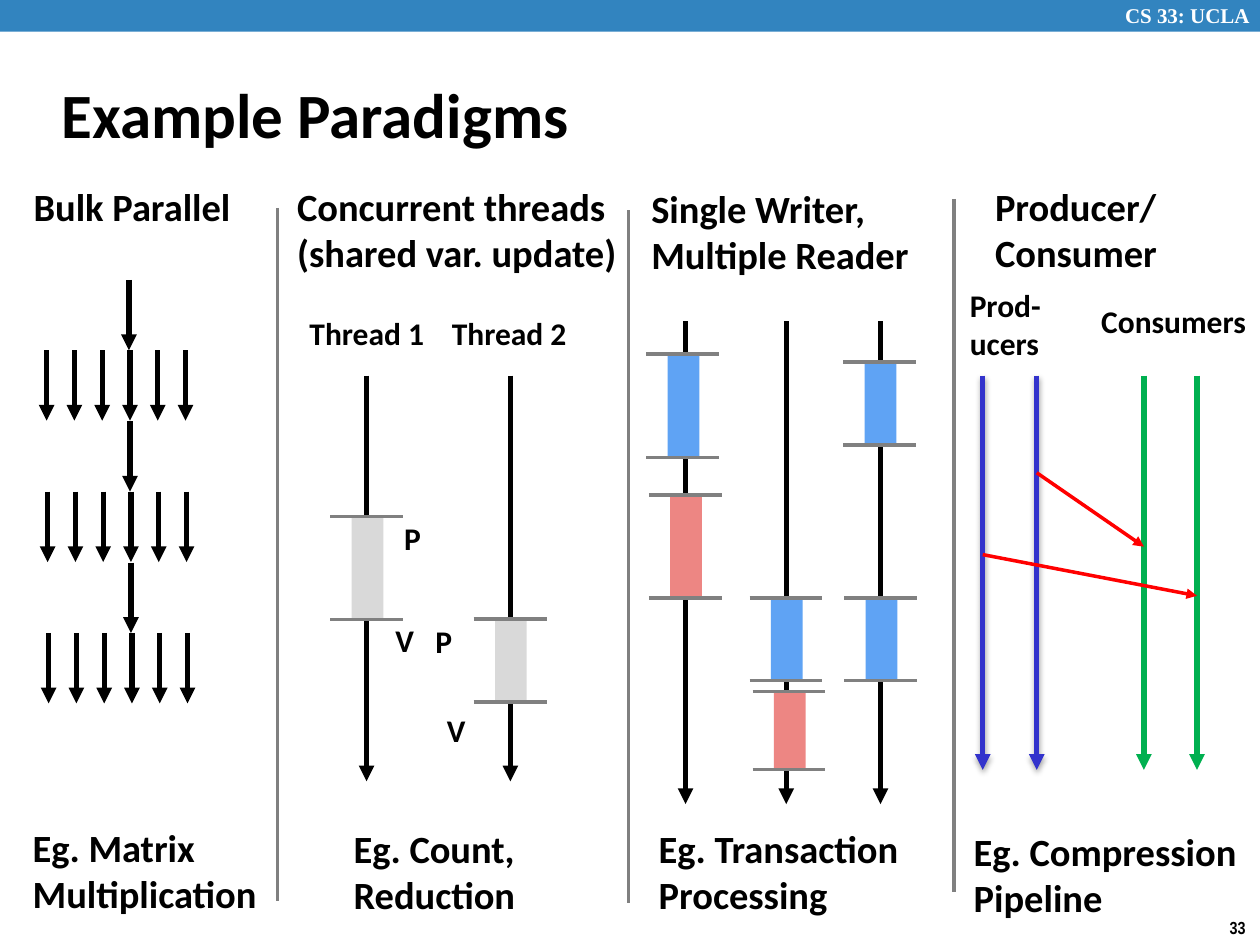
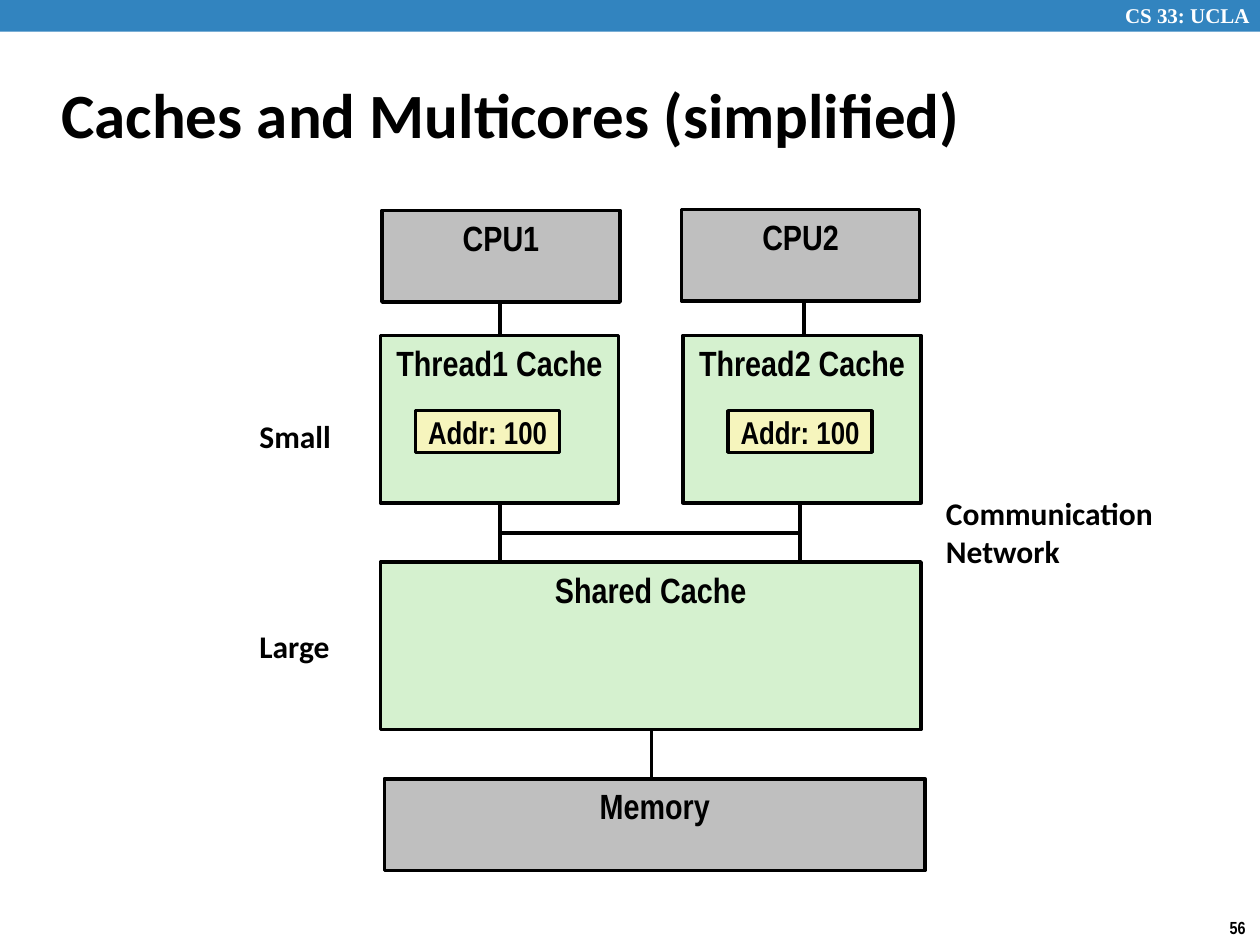
"""Build two lecture slides: parallel programming paradigms and multicore caches."""
from lxml import etree
from pptx import Presentation
from pptx import util as u
from pptx.dml.color import RGBColor
from pptx.enum import shapes, text as t
from pptx.oxml.ns import qn

COLORS = {
    "band": "3284BF", "white": "FFFFFF", "black": "000000", "divider": "808080",
    "update": "D9D9D9", "write": "ED8683", "read": "5FA3F4",
    "producer": "3333CC", "consumer": "00B050", "message": "FF0000",
    "cache": "D5F1CF", "address": "F6F5BD", "hardware": "BFBFBF",
}
HEADING = {"size": 22}
LABEL = {"size": 18, "wrap": False}
BOX = {"size": 20, "font": "Arial Narrow", "align": t.PP_ALIGN.CENTER, "outline": "black"}


def write(slide, content, left, top, width, height, size=18, font="Calibri",
          color="black", align=t.PP_ALIGN.LEFT, anchor=t.MSO_ANCHOR.TOP,
          wrap=True, fill=None, outline=None):
    """Add text, in a filled rectangle when a fill is named."""
    place = [u.Cm(value) for value in (left, top, width, height)]
    if fill:
        shape = slide.shapes.add_shape(shapes.MSO_SHAPE.RECTANGLE, *place)
        shape.shadow.inherit = False
        shape.fill.solid()
        shape.fill.fore_color.rgb = RGBColor.from_string(COLORS[fill])
        if outline:
            shape.line.color.rgb = RGBColor.from_string(COLORS[outline])
            shape.line.width = u.Pt(2)
        else:
            shape.line.fill.background()
    else:
        shape = slide.shapes.add_textbox(*place)
    frame = shape.text_frame
    frame.word_wrap = wrap
    frame.vertical_anchor = anchor
    frame.text = content
    for paragraph in frame.paragraphs:
        paragraph.alignment = align
        paragraph.font.name = font
        paragraph.font.size = u.Pt(size)
        paragraph.font.bold = True
        paragraph.font.color.rgb = RGBColor.from_string(COLORS[color])


def connect(slide, x1, y1, x2, y2, color="black", width=2, arrow=False, shadow=False):
    """Add a straight line with an optional arrowhead and shadow."""
    connector = slide.shapes.add_connector(
        shapes.MSO_CONNECTOR.STRAIGHT, u.Cm(x1), u.Cm(y1), u.Cm(x2), u.Cm(y2))
    connector.line.color.rgb = RGBColor.from_string(COLORS[color])
    connector.line.width = u.Pt(width)
    properties = connector.element.spPr
    if arrow:
        etree.SubElement(properties.find(qn("a:ln")), qn("a:tailEnd"), type="triangle")
    effects = etree.SubElement(properties, qn("a:effectLst"))
    if shadow:
        outer = etree.SubElement(effects, qn("a:outerShdw"), blurRad="40000",
                                 dist="23000", dir="5400000", rotWithShape="0")
        tint = etree.SubElement(outer, qn("a:srgbClr"), val=COLORS["black"])
        etree.SubElement(tint, qn("a:alpha"), val="35000")


presentation = Presentation()
presentation.slide_width = u.Cm(25.4)
presentation.slide_height = u.Cm(19.05)

slides = []
for title, number in (("Example Paradigms", "33"),
                      ("Caches and Multicores (simplified)", "56")):
    slide = presentation.slides.add_slide(presentation.slide_layouts[6])
    write(slide, "", 0, 0, 25.4, 0.64, fill="band")
    write(slide, "CS 33: UCLA", 22.43, -0.08, 3.15, 0.76, size=12,
          font="Times New Roman", color="white")
    write(slide, number, 24.54, 18.36, 0.86, 0.69, size=10, font="Arial Narrow", wrap=False)
    write(slide, title, 0.99, 1.22, 21.08, 2.11, size=36, anchor=t.MSO_ANCHOR.MIDDLE)
    slides.append(slide)
paradigms, caches = slides

for content, left, top, width in (
        ("Bulk Parallel", 0.43, 3.56, 4.7),
        ("Concurrent threads (shared var. update)", 5.74, 3.56, 7.9),
        ("Single Writer, Multiple Reader", 12.88, 3.61, 6.15),
        ("Producer/\nConsumer", 19.81, 3.56, 4.7),
        ("Eg. Matrix Multiplication", 0.41, 16.48, 5.18),
        ("Eg. Count,\nReduction", 6.88, 16.51, 4.7),
        ("Eg. Transaction Processing", 13.03, 16.51, 5.69),
        ("Eg. Compression\nPipeline", 19.38, 16.56, 5.9)):
    write(paradigms, content, left, top, width, 2.13, **HEADING)

for x, top in ((5.59, 4.19), (12.67, 4.24), (19.23, 4.01)):
    connect(paradigms, x, top, x, top + 13.97, "divider")

step = 1.42
for stage in range(3):
    shift = 0.02 * stage
    top = 5.64 + 2.85 * stage
    trunk = 2.6 + shift
    connect(paradigms, trunk, top, trunk, top + step, width=3, arrow=True)
    for worker in range(6):
        x = 0.94 + shift + 0.56 * worker
        connect(paradigms, x, top + step, x, top + 2 * step, width=3, arrow=True)

for x, top, bottom, color in (
        (7.39, 7.57, 15.75, "black"), (10.29, 7.57, 15.75, "black"),
        (13.82, 6.48, 16.21, "black"), (15.85, 6.48, 16.21, "black"),
        (17.75, 6.48, 16.21, "black"),
        (19.81, 7.57, 15.52, "producer"), (20.9, 7.57, 15.52, "producer"),
        (23.06, 7.57, 15.52, "consumer"), (24.13, 7.57, 15.52, "consumer")):
    connect(paradigms, x, top, x, bottom, color, width=3, arrow=True,
            shadow=color == "producer")

for left, top, height, access in (
        (7.09, 10.41, 2.08, "update"), (9.98, 12.48, 1.67, "update"),
        (13.51, 9.98, 2.08, "write"), (15.54, 12.05, 1.67, "read"),
        (13.46, 7.14, 2.08, "read"), (17.45, 12.05, 1.67, "read"),
        (15.6, 13.94, 1.57, "write"), (17.43, 7.3, 1.67, "read")):
    write(paradigms, "", left, top, 0.64, height, fill=access)
    for y in (top, top + height):
        connect(paradigms, left - 0.43, y, left + 1.04, y, "divider")

for content, left, top, width, height in (
        ("Thread 1", 5.99, 6.2, 2.84, 0.86), ("Thread 2", 8.86, 6.2, 2.84, 0.86),
        ("P", 7.9, 10.34, 0.86, 0.86), ("V", 7.72, 12.4, 0.89, 0.86),
        ("P", 8.53, 12.42, 0.86, 0.86), ("V", 8.76, 14.2, 0.89, 0.86),
        ("Prod-\nucers", 19.3, 5.64, 1.96, 1.8), ("Consumers", 21.95, 5.97, 3.45, 1.02)):
    write(paradigms, content, left, top, width, height, **LABEL)

connect(paradigms, 20.9, 9.53, 23.06, 11.02, "message", arrow=True)
connect(paradigms, 19.81, 11.18, 24.13, 12.01, "message", arrow=True)

for x1, y1, x2, y2 in (
        (10.08, 6.07, 10.08, 6.78), (16.21, 6.05, 16.21, 6.76),
        (10.08, 10.13, 10.08, 11.33), (16.13, 10.13, 16.13, 11.33),
        (10.08, 10.74, 16.13, 10.74), (13.13, 14.73, 13.13, 15.93)):
    connect(caches, x1, y1, x2, y2)

for content, left, top, width, height, fill in (
        ("CPU1", 7.7, 4.24, 4.8, 1.85, "hardware"),
        ("CPU2", 13.74, 4.22, 4.8, 1.85, "hardware"),
        ("Thread1 Cache", 7.67, 6.76, 4.8, 3.38, "cache"),
        ("Thread2 Cache", 13.77, 6.76, 4.8, 3.38, "cache"),
        ("Shared Cache", 7.67, 11.33, 10.9, 3.38, "cache"),
        ("Memory", 7.75, 15.7, 10.9, 1.85, "hardware")):
    write(caches, content, left, top, width, height, fill=fill, **BOX)

for left in (8.38, 14.68):
    write(caches, "Addr: 100", left, 8.28, 2.9, 0.84, fill="address",
          anchor=t.MSO_ANCHOR.MIDDLE, **{**BOX, **LABEL})

for content, left, top, width, height in (
        ("Communication\nNetwork", 18.82, 9.83, 4.72, 1.8),
        ("Small", 4.98, 8.28, 1.96, 1.02), ("Large", 4.98, 12.52, 1.93, 1.02)):
    write(caches, content, left, top, width, height, **LABEL)

presentation.save("out.pptx")
